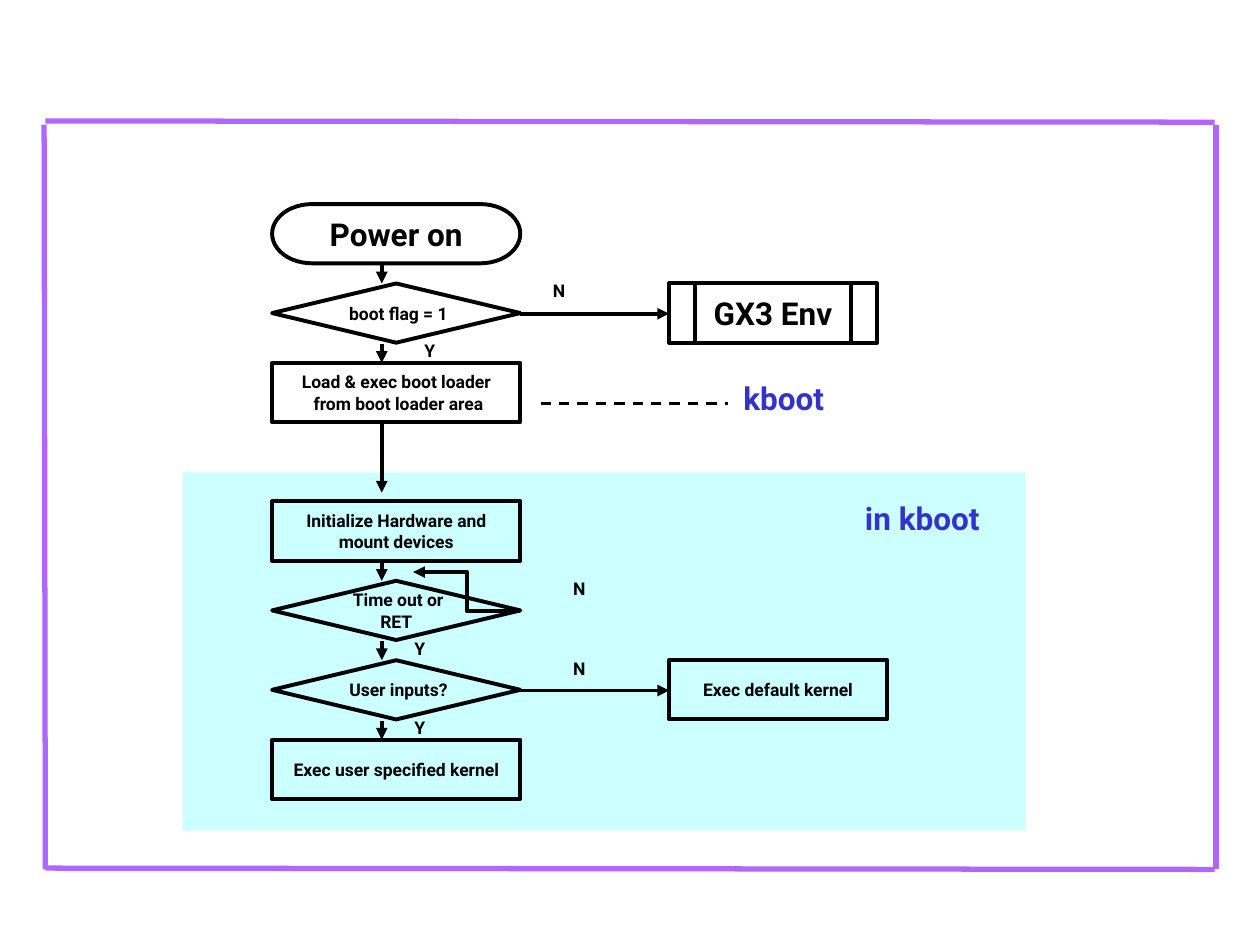
from dataclasses import dataclass

from lxml.etree import SubElement
from pptx import Presentation
from pptx.dml.color import RGBColor
from pptx.enum.dml import MSO_LINE as Dash
from pptx.enum.shapes import MSO_CONNECTOR as Connector, MSO_SHAPE as Preset
from pptx.enum.text import MSO_ANCHOR as Anchor, MSO_AUTO_SIZE as AutoSize, PP_ALIGN as Align
from pptx.oxml.ns import qn
from pptx.util import Inches, Pt


@dataclass(frozen=True)
class Theme:
    """Colours, type sizes and line weights of the slide."""
    font: str = "Roboto"
    ink: RGBColor = RGBColor(0x00, 0x00, 0x00)
    accent: RGBColor = RGBColor(0x33, 0x33, 0xCC)
    frame: RGBColor = RGBColor(0xAF, 0x67, 0xFF)
    panel: RGBColor = RGBColor(0xCC, 0xFF, 0xFF)
    small: float = 10
    large: float = 18
    line_spacing: float = 1.01
    outline: float = 2.25
    frame_weight: float = 3
    dash_weight: float = 1.5


THEME = Theme()
LEFT, RIGHT, ARROW_X = 2.16, 5.31, 3.03
WIDTH, HEIGHT, STEP = 1.97, 0.47, 0.63
START_TOP, KBOOT_TOP = 1.62, 3.98


def add_runs(paragraph, text, size, color):
    """Write the text run by run, with a line break between lines."""
    paragraph.line_spacing = THEME.line_spacing
    for index, line in enumerate(text.split("\n")):
        if index:
            paragraph.add_line_break()
        run = paragraph.add_run()
        run.text = line
        run.font.name = THEME.font
        run.font.size = Pt(size)
        run.font.bold = True
        run.font.color.rgb = color


def add_panel(slide, left, top, width, height):
    """Add the tinted area behind the kboot steps."""
    shape = slide.shapes.add_shape(
        Preset.RECTANGLE, Inches(left), Inches(top), Inches(width), Inches(height))
    shape.shadow.inherit = False
    shape.fill.solid()
    shape.fill.fore_color.rgb = THEME.panel
    shape.line.fill.background()


def add_step(slide, preset, left, top, text, width=WIDTH, size=THEME.small):
    """Add one outlined flowchart step."""
    shape = slide.shapes.add_shape(
        preset, Inches(left), Inches(top), Inches(width), Inches(HEIGHT))
    shape.shadow.inherit = False
    shape.fill.background()
    shape.line.color.rgb = THEME.ink
    shape.line.width = Pt(THEME.outline)
    frame = shape.text_frame
    frame.word_wrap = False
    frame.vertical_anchor = Anchor.MIDDLE
    paragraph = frame.paragraphs[0]
    paragraph.alignment = Align.CENTER
    add_runs(paragraph, text, size, THEME.ink)


def add_line(slide, start, end, color=THEME.ink, weight=THEME.outline, kind=Connector.STRAIGHT):
    """Add a connector without shadow and return it."""
    connector = slide.shapes.add_connector(kind, *map(Inches, start + end))
    connector.line.color.rgb = color
    connector.line.width = Pt(weight)
    SubElement(connector._element.spPr, qn("a:effectLst"))
    return connector


def add_arrow(slide, start, end, kind=Connector.STRAIGHT):
    """Add a connector with a triangle at its end."""
    connector = add_line(slide, start, end, kind=kind)
    SubElement(connector.line._get_or_add_ln(), qn("a:tailEnd"), type="triangle")


def add_label(slide, left, top, width, height, text, size, color, align, space_before):
    """Add a free text label."""
    box = slide.shapes.add_textbox(Inches(left), Inches(top), Inches(width), Inches(height))
    frame = box.text_frame
    frame.word_wrap = True
    frame.auto_size = AutoSize.SHAPE_TO_FIT_TEXT
    paragraph = frame.paragraphs[0]
    paragraph.alignment = align
    paragraph.space_before = Pt(space_before)
    add_runs(paragraph, text, size, color)


def add_branch_label(slide, left, top, text):
    """Add the Y or N beside a decision."""
    add_label(slide, left, top, 0.34, 0.27, text, THEME.small, THEME.ink, Align.LEFT, 6.2)


def add_stage_label(slide, left, top, text):
    """Add a large coloured stage name."""
    add_label(slide, left, top, 1.5, 0.41, text, THEME.large, THEME.accent, Align.CENTER, 11.2)


def add_frame(slide):
    """Add the four lines around the slide."""
    for start, end in (
        ((0.36, 0.96), (9.64, 0.97)),
        ((0.36, 6.89), (9.64, 6.9)),
        ((0.35, 0.99), (0.36, 6.9)),
        ((9.65, 0.99), (9.65, 6.9)),
    ):
        add_line(slide, start, end, THEME.frame, THEME.frame_weight)


def add_column(slide, first_top, steps):
    """Stack steps at an equal pitch with an arrow between neighbours."""
    for index, (preset, text, size) in enumerate(steps):
        top = first_top + index * STEP
        add_step(slide, preset, LEFT, top, text, size=size)
        if index:
            add_arrow(slide, (ARROW_X, top - 0.15), (ARROW_X, top))


def add_exit(slide, preset, top, width, text, size):
    """Add the N branch: an arrow to a step on the right."""
    middle = top + 0.24
    add_step(slide, preset, RIGHT, top, text, width, size)
    add_arrow(slide, (LEFT + WIDTH, middle), (RIGHT, middle))


def main():
    """Build the boot sequence flowchart."""
    presentation = Presentation()
    presentation.slide_width, presentation.slide_height = Inches(10), Inches(7.5)
    slide = presentation.slides.add_slide(presentation.slide_layouts[6])
    add_frame(slide)
    add_panel(slide, 1.45, 3.75, 6.69, 2.84)

    decision, process = Preset.FLOWCHART_DECISION, Preset.FLOWCHART_PROCESS
    add_column(slide, START_TOP, (
        (Preset.FLOWCHART_TERMINATOR, "Power on", THEME.large),
        (decision, " boot flag = 1", THEME.small),
        (process, "Load & exec boot loader\n from boot loader area", THEME.small),
    ))
    add_column(slide, KBOOT_TOP, (
        (process, "Initialize Hardware and\nmount devices", THEME.small),
        (decision, " Time out or\nRET", THEME.small),
        (decision, " User inputs?", THEME.small),
        (process, "Exec user specified kernel", THEME.small),
    ))
    add_exit(slide, Preset.FLOWCHART_PREDEFINED_PROCESS, START_TOP + STEP, 1.65,
             "GX3 Env", THEME.large)
    add_exit(slide, process, KBOOT_TOP + 2 * STEP, 1.73, "Exec default kernel", THEME.small)
    add_arrow(slide, (ARROW_X, 3.36), (ARROW_X, 3.91))
    add_arrow(slide, (4.13, 4.85), (3.28, 4.54), Connector.ELBOW)

    for left, top, text in (
        (4.29, 2.17, "N"), (3.27, 2.65, "Y"), (4.45, 4.54, "N"),
        (3.19, 5.01, "Y"), (4.45, 5.17, "N"), (3.19, 5.64, "Y"),
    ):
        add_branch_label(slide, left, top, text)
    dashes = add_line(slide, (4.29, 3.2), (5.78, 3.2), weight=THEME.dash_weight)
    dashes.line.dash_style = Dash.DASH
    add_stage_label(slide, 5.47, 2.96, "kboot")
    add_stage_label(slide, 6.57, 3.91, "in kboot")
    presentation.save("out.pptx")


if __name__ == "__main__":
    main()
